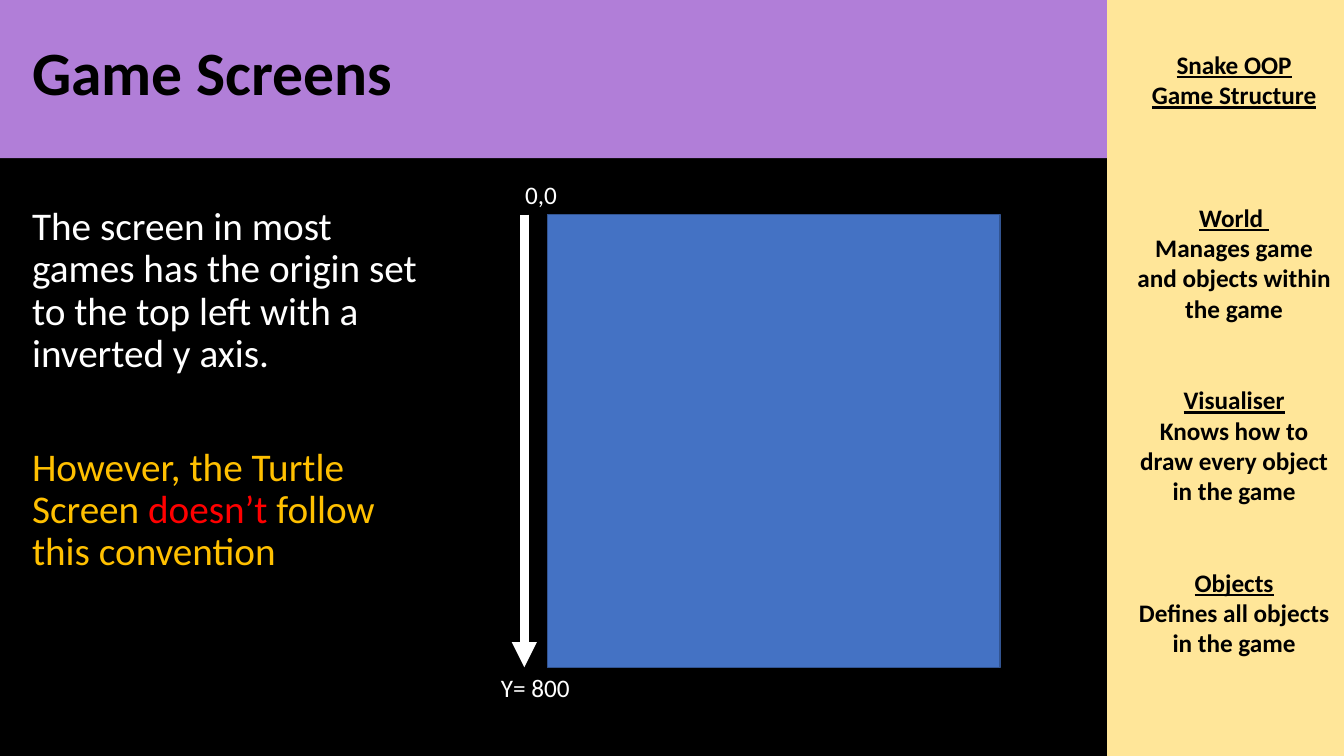
import pptx
import pptx.util
import pptx.dml.color
import pptx.enum.shapes
import pptx.enum.text
import pptx.oxml

Inches = pptx.util.Inches
Pt = pptx.util.Pt
Align = pptx.enum.text.PP_ALIGN
Anchor = pptx.enum.text.MSO_ANCHOR

COLORS = {
    "black": "000000",
    "white": "FFFFFF",
    "purple": "B17ED8",
    "cream": "FFE699",
    "gold": "FFC000",
    "red": "FF0000",
    "blue": "4472C4",
    "navy": "325491",
}
NS = 'xmlns:a="http://schemas.openxmlformats.org/drawingml/2006/main"'


class Deck:
    font = "Calibri"

    def __init__(self):
        self.show = pptx.Presentation()
        self.show.slide_width = Inches(13.33)
        self.show.slide_height = Inches(7.5)
        self.slide = self.show.slides.add_slide(self.show.slide_layouts[6])
        self.paint(self.slide.background.fill, "black")

    def paint(self, fill, name):
        fill.solid()
        fill.fore_color.rgb = self.color(name)

    def color(self, name):
        return pptx.dml.color.RGBColor.from_string(COLORS[name])

    def rect(self, left, top, width, height, fill, edge=None):
        shape = self.slide.shapes.add_shape(
            pptx.enum.shapes.MSO_SHAPE.RECTANGLE,
            Inches(left), Inches(top), Inches(width), Inches(height))
        shape.shadow.inherit = False
        self.paint(shape.fill, fill)
        if edge:
            self.paint(shape.line.fill, edge)
            shape.line.width = Pt(1)
        else:
            shape.line.fill.background()

    def arrow(self, x, top, end, name, width):
        line = self.slide.shapes.add_connector(
            pptx.enum.shapes.MSO_CONNECTOR.STRAIGHT,
            Inches(x), Inches(top), Inches(x), Inches(end))
        self.paint(line.line.fill, name)
        line.line.width = Pt(width)
        line.line._get_or_add_ln().append(
            pptx.oxml.parse_xml(f'<a:tailEnd {NS} type="triangle"/>'))
        line._element.spPr.append(pptx.oxml.parse_xml(f"<a:effectLst {NS}/>"))

    def text(self, left, top, width, height, wrap=True, anchor=Anchor.TOP):
        box = self.slide.shapes.add_textbox(
            Inches(left), Inches(top), Inches(width), Inches(height))
        frame = box.text_frame
        frame.word_wrap = wrap
        frame.vertical_anchor = anchor
        return frame

    def para(self, frame, runs, size, first=False, gap=0, space=None,
             align=Align.LEFT, bold=False, under=False):
        para = frame.paragraphs[0] if first else frame.add_paragraph()
        para.alignment = align
        para.space_before = Pt(gap)
        if space:
            para.line_spacing = space
        for words, name in runs:
            run = para.add_run()
            run.text = words
            run.font.name = self.font
            run.font.size = Pt(size)
            run.font.bold = bold
            run.font.underline = under
            run.font.color.rgb = self.color(name)


def main():
    deck = Deck()
    deck.rect(0, 0, 10.98, 1.57, "purple")
    deck.rect(10.98, 0, 2.36, 7.5, "cream")

    side = deck.text(11.15, 0.44, 2.18, 6.16)
    notes = [
        ("Snake OOP", True, 0),
        ("Game Structure", True, 0),
        ("World ", True, 66),
        ("Manages game and objects within the game", False, 0),
        ("Visualiser", True, 44),
        ("Knows how to draw every object in the game", False, 0),
        ("Objects", True, 44),
        ("Defines all objects in the game", False, 0),
    ]
    for i, (words, under, gap) in enumerate(notes):
        deck.para(side, [(words, "black")], 18, first=i == 0, gap=gap,
                  align=Align.CENTER, bold=True, under=under)

    title = deck.text(0.22, 0.02, 10.51, 1.45, anchor=Anchor.MIDDLE)
    deck.para(title, [("Game Screens", "black")], 44, first=True,
              space=0.9, bold=True)

    body = deck.text(0.22, 2, 4.24, 4.76)
    deck.para(body, [("The screen in most games has the origin set to the "
                      "top left with a inverted y axis.", "white")],
              28, first=True, gap=10, space=0.9)
    deck.para(body, [("However, the Turtle Screen ", "gold"),
                     ("doesn’t", "red"),
                     (" follow this convention", "gold")],
              28, gap=51, space=0.9)

    top, side_len = 2.13, 4.49
    end = top + side_len
    deck.rect(5.43, top, side_len, side_len, "blue", "navy")
    deck.arrow(5.2, top, end, "white", 6)
    for words, left, y, width in [("0,0", 5.11, 1.73, 0.52),
                                  ("Y= 800", 4.87, end, 0.89)]:
        label = deck.text(left, y, width, 0.4, wrap=False)
        deck.para(label, [(words, "white")], 18, first=True)

    deck.show.save("out.pptx")


if __name__ == "__main__":
    main()
